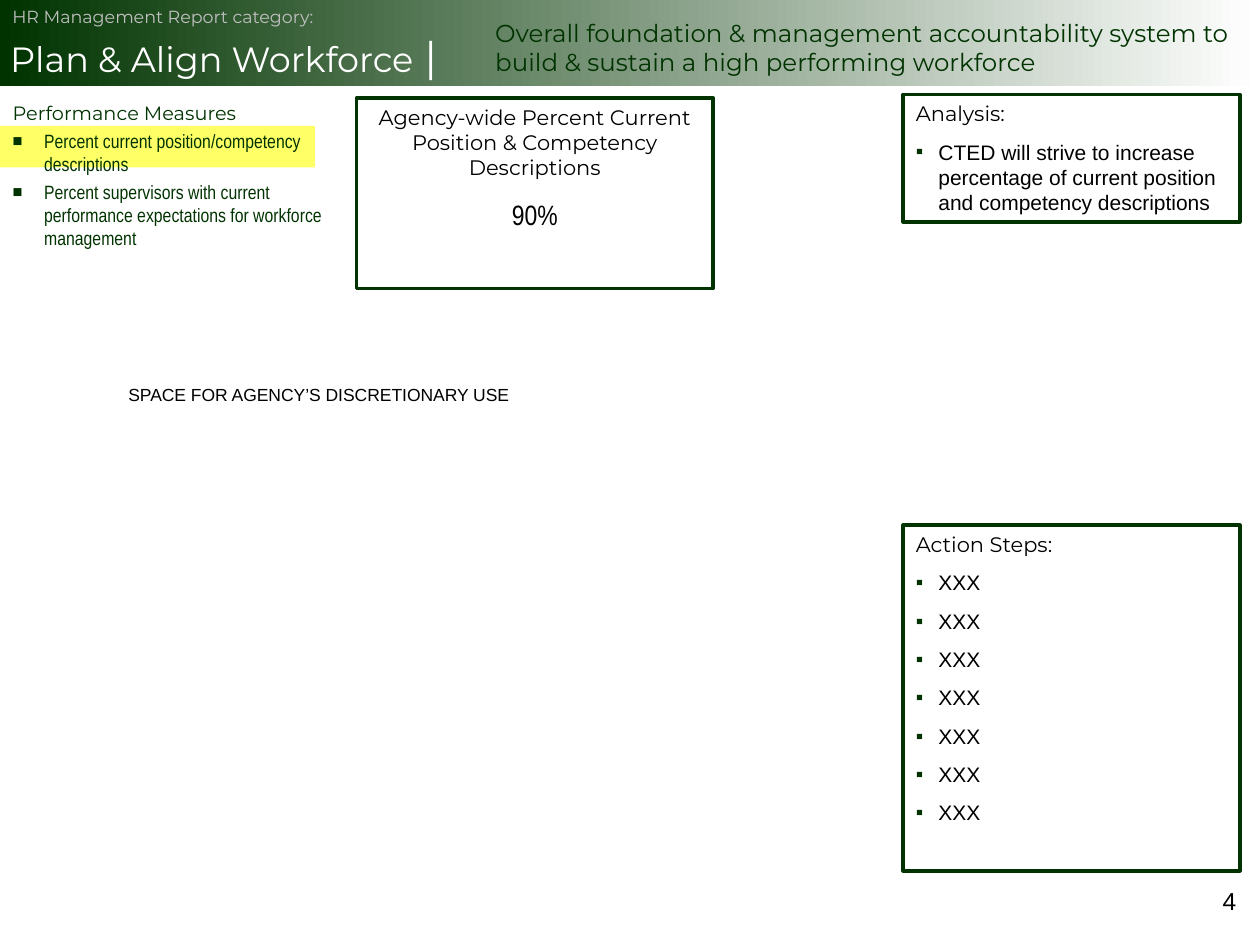
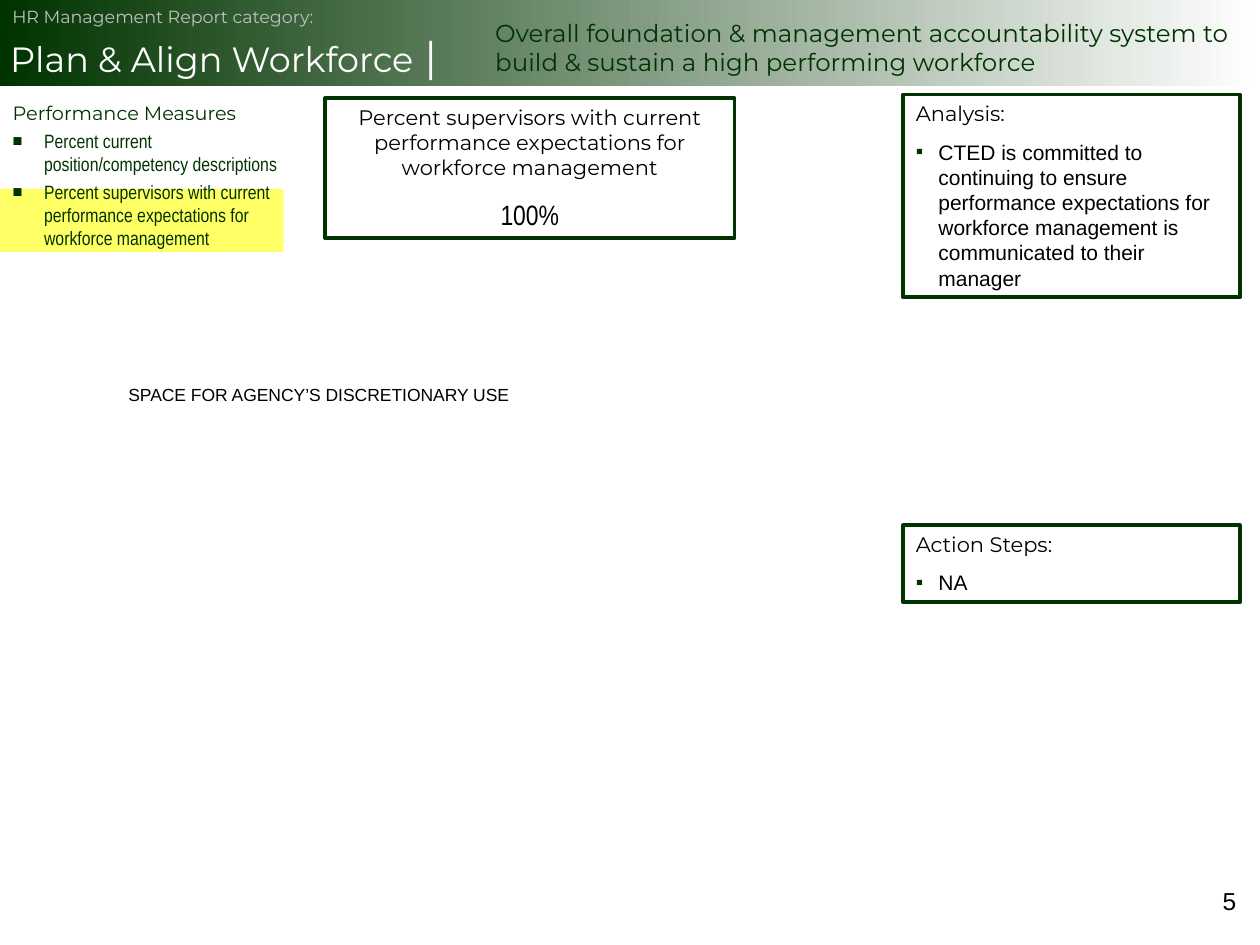
"""Build two HR management report slides on planning and aligning the workforce."""
from lxml.etree import SubElement
from pptx import Presentation
from pptx.dml.color import RGBColor
from pptx.enum.shapes import MSO_SHAPE
from pptx.enum.text import MSO_ANCHOR, MSO_AUTO_SIZE, PP_ALIGN
from pptx.oxml.ns import qn
from pptx.util import Inches, Pt

COLORS = {"green": "003300", "yellow": "FFFF66", "white": "FFFFFF",
          "silver": "C0C0C0", "black": "000000"}
HEAD, BODY, NARROW = "Montserrat", "Arial", "Arial Narrow"
MEASURES = ["Percent current position/competency descriptions",
            "Percent supervisors with current performance expectations for workforce management"]
SLIDES = [
    {"number": 4, "highlight": (0, 1, 2.5, 0.33), "measures": (0, 0.75, 2.75, 2.08),
     "result": (2.83, 0.78, 2.83, 1.51), "value": "90%",
     "measure": "Agency-wide Percent Current Position & Competency Descriptions",
     "panels": [("Analysis:", 0.75, 1.01,
                 ["CTED will strive to increase percentage of current position "
                  "and competency descriptions"]),
                ("Action Steps:", 4.17, 2.74, ["XXX"] * 7)]},
    {"number": 5, "highlight": (0, 1.5, 2.25, 0.5), "measures": (0, 0.75, 2.33, 1.75),
     "result": (2.58, 0.78, 3.25, 1.11), "value": "100%", "measure": MEASURES[1],
     "panels": [("Analysis:", 0.75, 1.61,
                 ["CTED is committed to continuing to ensure performance expectations "
                  "for workforce management is communicated to their manager"]),
                ("Action Steps:", 4.17, 0.61, ["NA"])]},
]


def add_box(s, at, sp=None, rect=False, fill=None, line=None, anchor=MSO_ANCHOR.TOP):
    """Place a rectangle, text box or given placeholder on top and return it."""
    at = [Inches(v) for v in at]
    if sp is not None:
        sp.left, sp.top, sp.width, sp.height = at
        s.shapes.element.append(sp.element)
    elif rect:
        sp = s.shapes.add_shape(MSO_SHAPE.RECTANGLE, *at)
        sp.shadow.inherit = False
        sp.fill.background()
        sp.line.fill.background()
    else:
        sp = s.shapes.add_textbox(*at)
    if fill:
        sp.fill.solid()
        sp.fill.fore_color.rgb = RGBColor.from_string(COLORS[fill])
    if line:
        sp.line.color.rgb = RGBColor.from_string(COLORS[line])
        sp.line.width = Pt(2.25)
    tf = sp.text_frame
    tf.word_wrap = True
    tf.auto_size = MSO_AUTO_SIZE.NONE
    tf.vertical_anchor = anchor
    return sp


def add_text(tf, text, size=12, font=BODY, color="black", align=PP_ALIGN.LEFT,
             before=0, indent=0, bullet=None, bullet_size=100, p=None):
    """Add a formatted paragraph, or a run to the paragraph p, and return the paragraph."""
    if p is None:
        first = not tf.paragraphs[0].runs
        p = tf.paragraphs[0] if first else tf.add_paragraph()
        p.alignment = align
        p.space_before = Pt(0 if first else before)
        pPr = p._p.get_or_add_pPr()
        pPr.set("marL", str(Inches(indent)))
        pPr.set("indent", str(-Inches(indent)))
        if bullet:
            clr = SubElement(pPr, qn("a:buClr"))
            SubElement(clr, qn("a:srgbClr"), val=COLORS["green"])
            SubElement(pPr, qn("a:buSzPct"), val=str(bullet_size * 1000))
            SubElement(pPr, qn("a:buFont"), typeface=BODY)
            SubElement(pPr, qn("a:buChar"), char=bullet)
        else:
            SubElement(pPr, qn("a:buNone"))
    r = p.add_run()
    r.text = text
    r.font.size = Pt(size)
    r.font.name = font
    r.font.color.rgb = RGBColor.from_string(COLORS[color])
    return p


prs = Presentation()
prs.slide_width, prs.slide_height = Inches(10), Inches(7.5)

for data in SLIDES:
    s = prs.slides.add_slide(prs.slide_layouts[1])

    add_box(s, data["highlight"], rect=True, fill="yellow")
    tf = add_box(s, data["measures"], sp=s.placeholders[1]).text_frame
    add_text(tf, "Performance Measures", size=11, font=HEAD, color="green", indent=0.25)
    for measure in MEASURES:
        add_text(tf, measure, size=11, font=NARROW, color="green", before=2.8,
                 indent=0.25, bullet="■", bullet_size=85)

    sp = add_box(s, (0, 0, 10, 0.68), rect=True)
    sp.fill.gradient()
    sp.fill.gradient_angle = 0
    for stop, color in zip(sp.fill.gradient_stops, ("green", "white")):
        stop.color.rgb = RGBColor.from_string(COLORS[color])
    tf = sp.text_frame
    tf.margin_left = tf.margin_right = Inches(0.08)
    tf.margin_top = tf.margin_bottom = Inches(0.04)
    p = add_text(tf, "Plan & Align Workforce", size=20, font=HEAD, color="white")
    p.line_spacing = 1.5
    add_text(tf, " |", size=24, font=HEAD, color="white", p=p)

    tf = add_box(s, (0, 0, 3, 0.27)).text_frame
    add_text(tf, "HR Management Report category:", size=10, font=HEAD, color="silver")

    tf = add_box(s, (3.83, 0, 6.17, 0.75), sp=s.shapes.title,
                 anchor=MSO_ANCHOR.MIDDLE).text_frame
    add_text(tf, "Overall foundation & management accountability system to build & sustain "
             "a high performing workforce", size=14, font=HEAD, color="green")

    tf = add_box(s, data["result"], rect=True, line="green").text_frame
    add_text(tf, data["measure"], font=HEAD, align=PP_ALIGN.CENTER)
    add_text(tf, data["value"], size=16, font=NARROW, align=PP_ALIGN.CENTER, before=10)

    tf = add_box(s, (0.92, 3, 4.08, 0.27)).text_frame
    add_text(tf, "SPACE FOR AGENCY’S DISCRETIONARY USE", size=10)

    for heading, top, height, items in data["panels"]:
        tf = add_box(s, (7.17, top, 2.67, height), rect=True, line="green").text_frame
        add_text(tf, heading, font=HEAD, indent=0.18)
        for item in items:
            add_text(tf, item, before=7.5, indent=0.18, bullet="▪")

    tf = add_box(s, (7.58, 6.98, 2.33, 0.52)).text_frame
    add_text(tf, str(data["number"]), size=14, align=PP_ALIGN.RIGHT)

prs.save("out.pptx")
